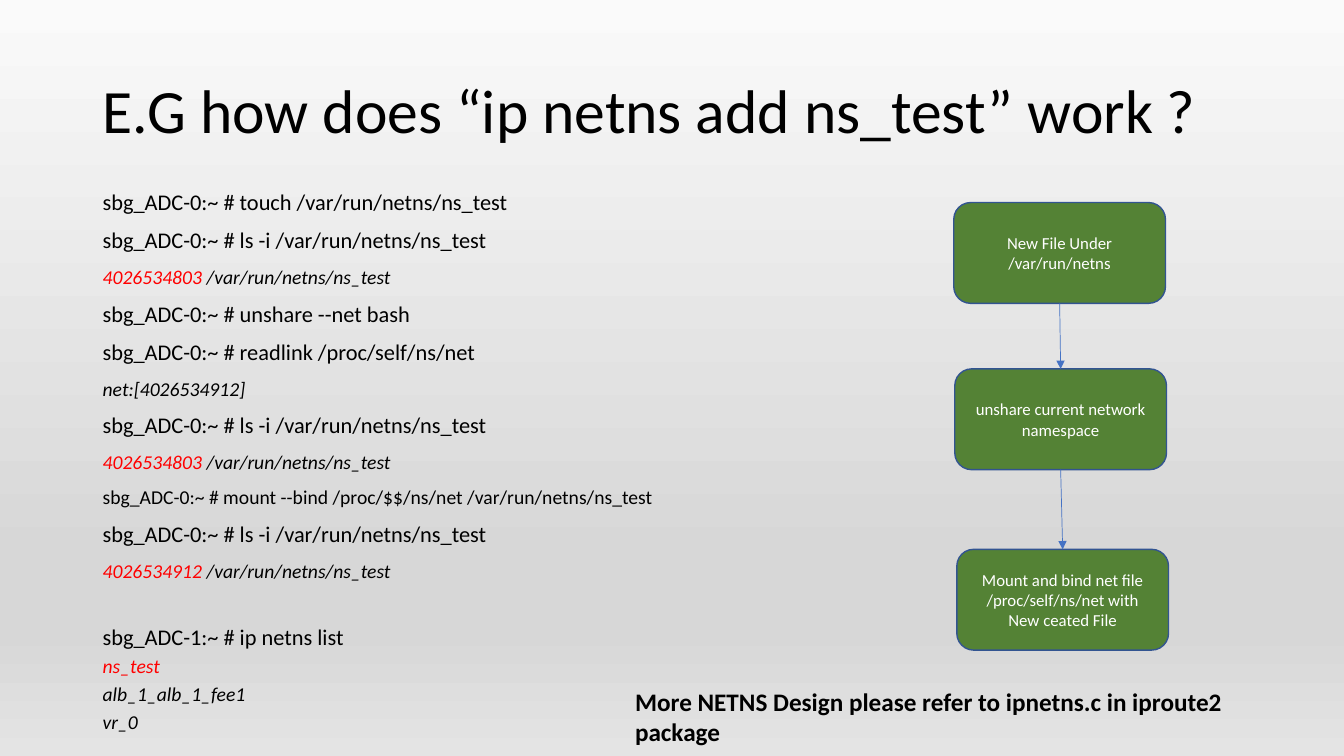
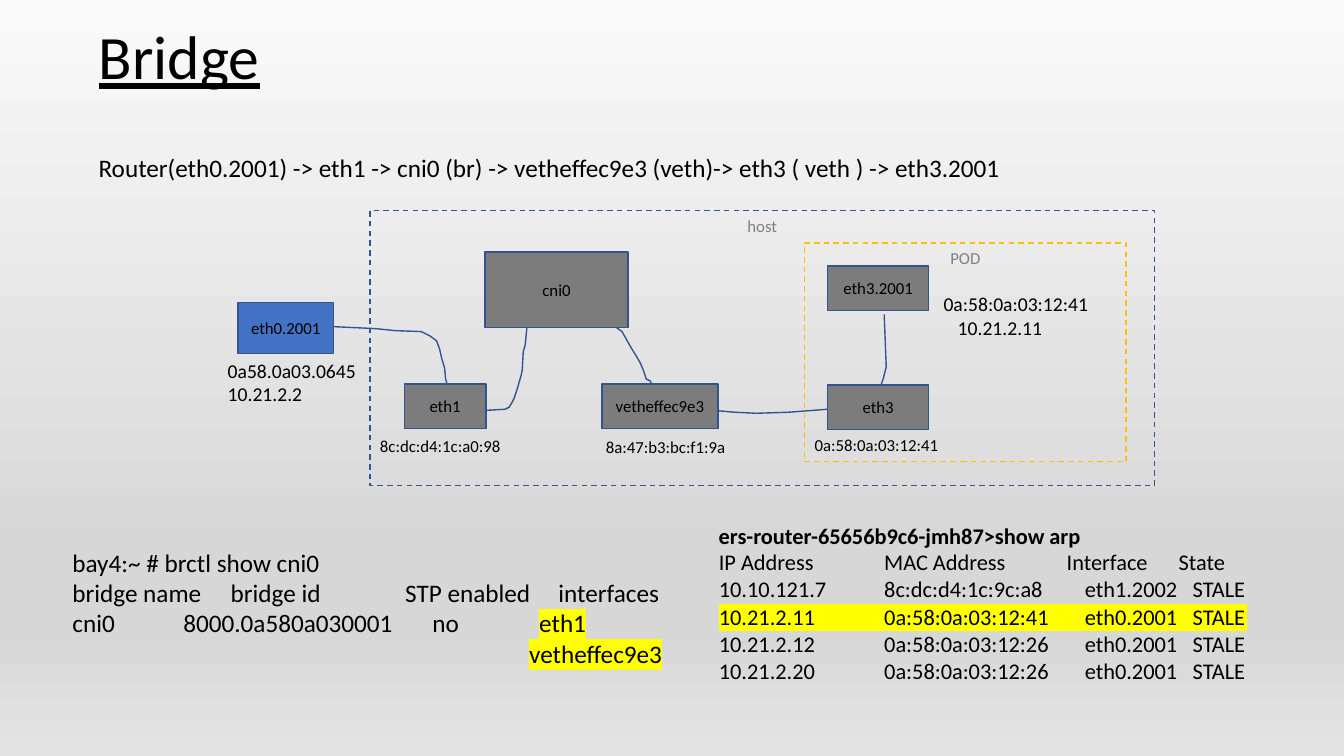
from lxml.etree import SubElement
from pptx import Presentation
from pptx.dml.color import RGBColor
from pptx.enum.dml import MSO_LINE
from pptx.enum.shapes import MSO_CONNECTOR, MSO_SHAPE
from pptx.enum.text import MSO_ANCHOR, MSO_AUTO_SIZE, PP_ALIGN
from pptx.oxml.ns import qn
from pptx.util import Pt

PX = 9144
SLIDE_SIZE = (1333, 750)
BACKGROUND = [(0, "FAFAFA"), (74, "D7D7D7"), (83, "D7D7D7"), (100, "E4E4E4")]
BLACK, WHITE, RED, YELLOW = "000000", "FFFFFF", "FF0000", "FFFF00"
GREEN, GREY, BLUE, NAVY = "548235", "7C7C7C", "4472C4", "325491"
AMBER, CAPTION_GREY = "FFC000", "808080"
TEXT = {"name": "Calibri", "size": 18, "color": BLACK}

COMMAND = {"size": 16}
SMALL_COMMAND = {"size": 14}
OUTPUT = {"size": 14, "italic": True}
CHANGED = {**OUTPUT, "color": RED}
MARKED = {"highlight": YELLOW}

NETNS_TITLE = ("E.G how does “ip netns add ns_test” work ?", (92, 40, 1150, 145), {})
NETNS_SESSION = [
    [("sbg_ADC-0:~ # touch /var/run/netns/ns_test", COMMAND)],
    [("sbg_ADC-0:~ # ls -i /var/run/netns/ns_test", COMMAND)],
    [("4026534803", CHANGED), (" /var/run/netns/ns_test", OUTPUT)],
    [("sbg_ADC-0:~ # unshare --net bash", COMMAND)],
    [("sbg_ADC-0:~ # readlink /proc/self/ns/net", COMMAND)],
    [("net:[4026534912]", OUTPUT)],
    [("sbg_ADC-0:~ # ls -i /var/run/netns/ns_test", COMMAND)],
    [("4026534803", CHANGED), (" /var/run/netns/ns_test", OUTPUT)],
    [("sbg_ADC-0:~ # mount --bind /proc/$$/ns/net /var/run/netns/ns_test", SMALL_COMMAND)],
    [("sbg_ADC-0:~ # ls -i /var/run/netns/ns_test", COMMAND)],
    [("4026534912 ", CHANGED), ("/var/run/netns/ns_test", OUTPUT)],
]
NETNS_LIST = [
    [("sbg_ADC-1:~ # ip netns list", COMMAND)],
    [("ns_test", CHANGED)],
    [("alb_1_alb_1_fee1", OUTPUT)],
    [("vr_0", OUTPUT)],
]
STEPS = [
    ("New File Under /var/run/netns", (946, 201, 210, 100)),
    ("unshare current network namespace", (947, 366, 210, 100)),
    ("Mount and bind net file /proc/self/ns/net with New ceated File", (949, 545, 210, 100)),
]
FURTHER_READING = "More NETNS Design please refer to ipnetns.c in iproute2 package"

BRIDGE_TITLE = ("Bridge", (88, 22, 1150, 75), {"underline": True})
ROUTE = "Router(eth0.2001) -> eth1 -> cni0 (br) -> vetheffec9e3 (veth)-> eth3 ( veth ) -> eth3.2001"
CABLE = [
    (329, 324), (372, 326), (392, 328), (418, 329), (426, 333), (433, 338),
    (436, 346), (438, 355), (441, 365), (442, 376), (444, 383), (446, 396),
    (450, 397), (456, 404), (468, 408), (501, 406), (505, 404), (508, 399),
    (510, 395), (513, 386), (517, 372), (518, 367), (519, 349), (521, 342),
    (523, 321), (527, 308), (536, 305), (587, 306), (595, 310), (604, 318),
    (610, 324), (617, 329), (626, 345), (631, 353), (635, 360), (638, 367),
    (641, 376), (645, 378), (650, 390), (654, 394), (656, 397), (664, 401),
    (683, 405), (729, 409), (750, 410), (782, 409), (821, 406), (853, 403),
    (863, 396), (867, 394), (872, 387), (876, 376), (879, 364), (877, 312),
]
INTERFACES = [
    ("eth0.2001", (236, 300, 95, 51), BLUE),
    ("eth3.2001", (821, 264, 100, 44), GREY),
    ("eth1", (401, 381, 81, 44), GREY),
    ("cni0", (481, 250, 142, 75), GREY),
    ("eth3", (821, 382, 100, 44), GREY),
    ("vetheffec9e3", (597, 381, 115, 44), GREY),
]
ADDRESSES = [
    (["0a58.0a03.0645", "10.21.2.2"], (216, 351, 152, 57), 14, 0),
    (["0a:58:0a:03:12:41", "10.21.2.11"], (926, 285, 172, 57), 14, 14),
    (["8a:47:b3:bc:f1:9a"], (591, 428, 148, 30), 12, 0),
    (["8c:dc:d4:1c:a0:98"], (367, 427, 148, 30), 12, 0),
    (["0a:58:0a:03:12:41"], (798, 426, 148, 30), 12, 0),
]
ZONES = [("POD", (798, 241, 319, 217), AMBER), ("host", (367, 209, 778, 273), NAVY)]
BRIDGE_SHOW = [
    (["bay4:~ # brctl show cni0"], []),
    (["bridge name\tbridge id\tSTP enabled\tinterfaces"], [157, 330, 482]),
    ([("cni0\t8000.0a580a030001\tno\t", {}), ("eth1", MARKED)], [110, 357, 463]),
    ([("\t", {}), ("vetheffec9e3", MARKED)], [453]),
]
ARP_COMMAND = "ers-router-65656b9c6-jmh87>show arp"
ARP_TABLE = [
    ("IP Address", "MAC Address", "Interface", "State"),
    ("10.10.121.7", "8c:dc:d4:1c:9c:a8", "eth1.2002", "STALE"),
    ("10.21.2.11", "0a:58:0a:03:12:41", "eth0.2001", "STALE"),
    ("10.21.2.12", "0a:58:0a:03:12:26", "eth0.2001", "STALE"),
    ("10.21.2.20", "0a:58:0a:03:12:26", "eth0.2001", "STALE"),
]
ARP_MARKED_ROW = 2
ARP_EDGES = [713, 877, 1058, 1169, 1237]
ARP_INSETS = [0, 0, 18, 14]
ARP_TOP, ARP_ROW_HEIGHT = 545, 27
NO_TABLE_STYLE = "{2D5ABB26-0587-4C30-8999-92F81FD0307C}"


def emu(lengths):
    return [length * PX for length in lengths]


def rgb(color):
    return RGBColor.from_string(color)


def set_all(target, values):
    for key, value in values.items():
        setattr(target, key, value)


def format_run(run, values):
    plain = {**TEXT, **values}
    color, highlight = plain.pop("color"), plain.pop("highlight", None)
    set_all(run.font, {**plain, "size": Pt(plain["size"])})
    run.font.color.rgb = rgb(color)
    if highlight:
        mark = SubElement(run.font.fill._xPr, qn("a:highlight"))
        SubElement(mark, qn("a:srgbClr"), val=highlight)
        run.font.fill._xPr.find(qn("a:solidFill")).addnext(mark)


def write(frame, paragraphs, values={}, layout={}):
    written = []
    for index, runs in enumerate(paragraphs):
        paragraph = frame.add_paragraph() if index else frame.paragraphs[0]
        set_all(paragraph, layout)
        for part in [(runs, {})] if isinstance(runs, str) else runs:
            text, own = (part, {}) if isinstance(part, str) else part
            run = paragraph.add_run()
            run.text = text
            format_run(run, {**values, **own})
        written.append(paragraph)
    return written


def add_text(slide, box, paragraphs, values={}, layout={}):
    frame = slide.shapes.add_textbox(*emu(box)).text_frame
    frame.word_wrap = True
    return write(frame, paragraphs, values, layout)


def add_title(prs, text, box, values):
    slide = prs.slides.add_slide(prs.slide_layouts[5])
    title = slide.shapes.title
    set_all(title, dict(zip(("left", "top", "width", "height"), emu(box))))
    set_all(title.text_frame, {"auto_size": MSO_AUTO_SIZE.NONE, "word_wrap": True,
                               "vertical_anchor": MSO_ANCHOR.MIDDLE})
    write(title.text_frame, [text], {"size": 44, **values},
          {"alignment": PP_ALIGN.LEFT, "line_spacing": 0.9})
    return slide


def style_outline(shape, fill, line, dash=None):
    shape.shadow.inherit = False
    if fill:
        shape.fill.solid()
        shape.fill.fore_color.rgb = rgb(fill)
    else:
        shape.fill.background()
    shape.line.color.rgb = rgb(line)
    set_all(shape.line, {"width": Pt(1), "dash_style": dash})


def add_box(slide, preset, box, text, fill, line, color, dash=None, anchor=MSO_ANCHOR.MIDDLE):
    shape = slide.shapes.add_shape(preset, *emu(box))
    style_outline(shape, fill, line, dash)
    set_all(shape.text_frame, {"word_wrap": True, "vertical_anchor": anchor})
    write(shape.text_frame, [text], {"size": 12, "color": color},
          {"alignment": PP_ALIGN.CENTER})
    return shape


def add_arrow(slide, start, end):
    arrow = slide.shapes.add_connector(MSO_CONNECTOR.STRAIGHT, 0, 0, 0, 0)
    arrow.begin_connect(start, 2)
    arrow.end_connect(end, 0)
    arrow.line.color.rgb = rgb(BLUE)
    arrow.line.width = Pt(0.5)
    SubElement(arrow.line._get_or_add_ln(), qn("a:tailEnd"), type="triangle")
    SubElement(arrow._element.spPr, qn("a:effectLst"))


def paint_background(master):
    fill = master.background.fill
    fill.gradient()
    fill.gradient_angle = 270
    stops = master.element.find(".//" + qn("a:gsLst"))
    for stop in list(stops):
        stops.remove(stop)
    for percent, color in BACKGROUND:
        stop = SubElement(stops, qn("a:gs"), pos=str(percent * 1000))
        SubElement(stop, qn("a:srgbClr"), val=color)


def add_arp_table(slide):
    widths = [right - left for left, right in zip(ARP_EDGES, ARP_EDGES[1:])]
    box = (ARP_EDGES[0], ARP_TOP, sum(widths), ARP_ROW_HEIGHT * len(ARP_TABLE))
    table = slide.shapes.add_table(len(ARP_TABLE), len(widths), *emu(box)).table
    set_all(table, {"first_row": False, "horz_banding": False})
    table._tbl.tblPr.find(qn("a:tableStyleId")).text = NO_TABLE_STYLE
    for column, width in zip(table.columns, widths):
        column.width = width * PX
    for r, values in enumerate(ARP_TABLE):
        table.rows[r].height = ARP_ROW_HEIGHT * PX
        for c, value in enumerate(values):
            cell = table.cell(r, c)
            set_all(cell, {"margin_left": ARP_INSETS[c] * PX if r else 0, "margin_right": 0,
                           "margin_top": 0, "margin_bottom": 0})
            if r == ARP_MARKED_ROW:
                cell.fill.solid()
                cell.fill.fore_color.rgb = rgb(YELLOW)
            else:
                cell.fill.background()
            write(cell.text_frame, [value], {"size": 16})


def build_netns(prs):
    slide = add_title(prs, *NETNS_TITLE)
    lines = add_text(slide, (92, 185, 800, 555), NETNS_SESSION + NETNS_LIST,
                     layout={"line_spacing": 0.9, "space_before": Pt(10)})
    lines[0].space_before = Pt(0)
    listing = lines[len(NETNS_SESSION):]
    for line in listing:
        line.line_spacing = Pt(10)
    listing[0].space_before = Pt(38)
    steps = [add_box(slide, MSO_SHAPE.ROUNDED_RECTANGLE, box, text, GREEN, NAVY, WHITE)
             for text, box in STEPS]
    for start, end in zip(steps, steps[1:]):
        add_arrow(slide, start, end)
    add_text(slide, (620, 676, 692, 70), [FURTHER_READING], {"bold": True})


def build_bridge(prs):
    slide = add_title(prs, *BRIDGE_TITLE)
    add_text(slide, (88, 146, 1150, 40), [ROUTE])
    builder = slide.shapes.build_freeform(*CABLE[0], scale=PX)
    builder.add_line_segments(CABLE[1:], close=False)
    style_outline(builder.convert_to_shape(), None, NAVY)
    for name, box, fill in INTERFACES:
        add_box(slide, MSO_SHAPE.RECTANGLE, box, name, fill, NAVY, BLACK)
    for lines, box, size, indent in ADDRESSES:
        written = add_text(slide, box, lines, {"size": size})
        if indent:
            written[-1]._p.get_or_add_pPr().set("marL", str(indent * PX))
    add_text(slide, (703, 513, 500, 32), [ARP_COMMAND], {"size": 16, "bold": True})
    add_arp_table(slide)
    output = add_text(slide, (62, 538, 640, 131), [runs for runs, _ in BRIDGE_SHOW])
    for paragraph, (_, stops) in zip(output, BRIDGE_SHOW):
        if stops:
            tabs = SubElement(paragraph._p.get_or_add_pPr(), qn("a:tabLst"))
            for stop in stops:
                SubElement(tabs, qn("a:tab"), pos=str(stop * PX), algn="l")
    for name, box, line in ZONES:
        add_box(slide, MSO_SHAPE.RECTANGLE, box, name, None, line, CAPTION_GREY,
                MSO_LINE.DASH, MSO_ANCHOR.TOP)


def main():
    prs = Presentation()
    prs.slide_width, prs.slide_height = emu(SLIDE_SIZE)
    paint_background(prs.slide_master)
    build_netns(prs)
    build_bridge(prs)
    prs.save("out.pptx")


if __name__ == "__main__":
    main()
